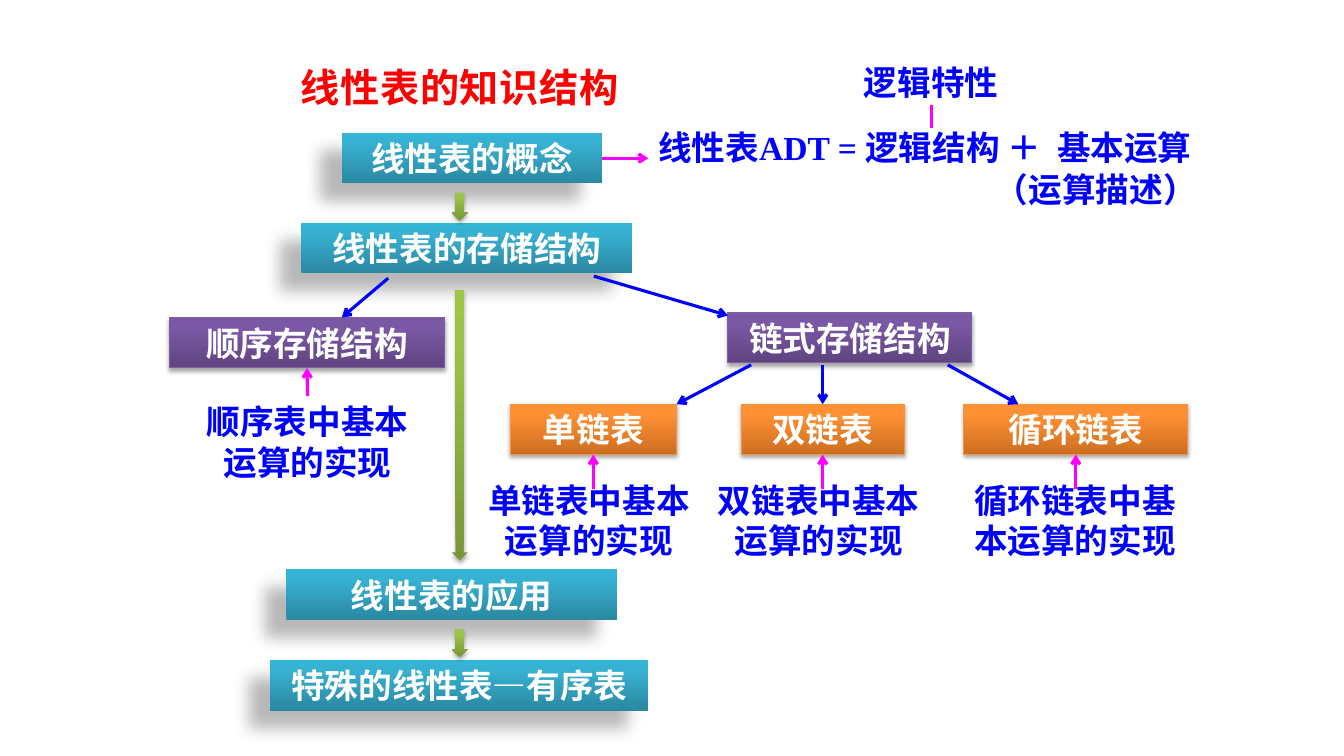
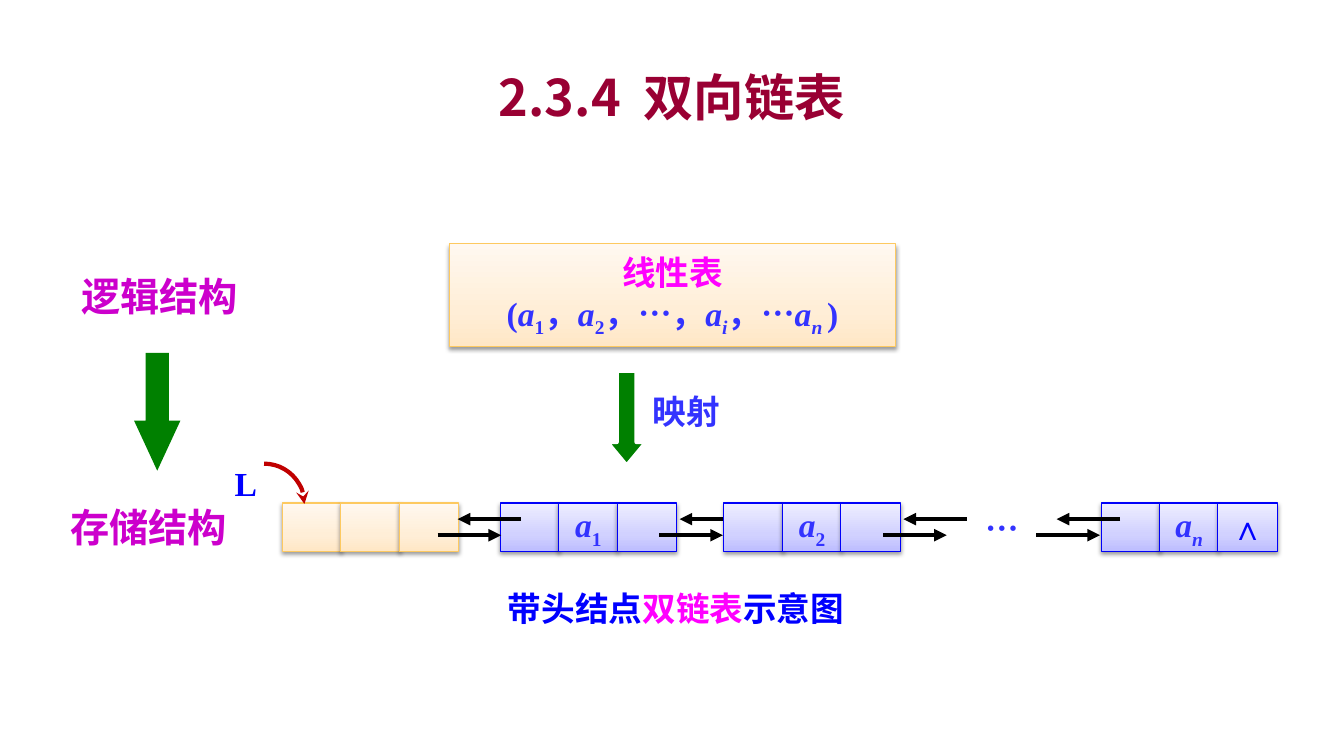
from copy import deepcopy

from lxml.etree import SubElement
from pptx import Presentation
from pptx.dml.color import RGBColor
from pptx.enum.shapes import MSO_CONNECTOR as Connector, MSO_SHAPE as Shape
from pptx.enum.text import MSO_ANCHOR as Anchor, MSO_AUTO_SIZE as AutoSize, PP_ALIGN as Align
from pptx.oxml.ns import qn
from pptx.util import Inches, Pt

SANS, SERIF = "Noto Sans CJK SC", "Times New Roman"
BLUE, VIOLET_BLUE, MAGENTA, PURPLE = "0000FF", "3333FF", "FF00FF", "CC00CC"
GREEN, BLACK, WHITE = "008000", "000000", "FFFFFF"
TITLE_ONLY = 5
TOP, BOTTOM, RIGHT = 0, 2, 3

# Shadows: opacity %, blur, distance (points), direction (degrees)
FAR, NEAR, SOFT = (28, 11.8, 19.7, 141), (35, 3.1, 1.8, 90), (38, 3.1, 1.6, 90)
# Looks: gradient stops from bottom to top, outline colour, shadow
TEAL_LOOK = ([(0, "2A88A2"), (0.8, "37B1D2"), (1, "34B4D6")], None, FAR)
LIME_LOOK = ([(0, "779737"), (0.8, "9BC348"), (1, "9DC746")], None, NEAR)
PURPLE_LOOK = ([(0, "5F4480"), (0.8, "7B58A6"), (1, "7C57A8")], "7D60A0", NEAR)
ORANGE_LOOK = ([(0, "CC6E20"), (0.8, "FF9034"), (1, "FF9136")], "F69240", NEAR)
CREAM_LOOK = ([(0, "FFE7C6"), (0.35, "FFEED7"), (1, "FFF8F0")], "FDC960", SOFT)
LILAC_LOOK = ([(0, "BDBDFF"), (0.35, "D1D1FF"), (1, "EEEEFF")], "0000F9", SOFT)


def rgb(value):
    return RGBColor.from_string(value)


def variable(subscript, italic=False):
    """Runs for the letter a with a subscript."""
    return [("a", {"italic": True}), (subscript, {"italic": italic, "lowered": True})]


class Deck:
    def __init__(self):
        self.presentation = Presentation()
        self.presentation.slide_width = Inches(13.33)
        self.presentation.slide_height = Inches(7.5)
        self.slide = None

    def new_slide(self):
        layout = self.presentation.slide_layouts[TITLE_ONLY]
        self.slide = self.presentation.slides.add_slide(layout)

    # Text
    def add_run(self, paragraph, text, font=SANS, size=24, color=BLUE,
                italic=False, lowered=False, spacing=0):
        run = paragraph.add_run()
        run.text = text
        run.font.name = font
        run.font.size = Pt(size)
        run.font.bold = True
        run.font.italic = italic
        run.font.color.rgb = rgb(color)
        properties = run.font._element
        SubElement(properties, qn("a:ea")).set("typeface", SANS)
        if lowered:
            properties.set("baseline", "-25000")
        if spacing:
            properties.set("spc", str(round(spacing * 100)))

    def fill_text(self, frame, paragraphs, align=Align.CENTER, anchor=Anchor.TOP,
                  wrap=True, **style):
        frame.auto_size = AutoSize.NONE
        frame.word_wrap = wrap
        frame.vertical_anchor = anchor
        if isinstance(paragraphs, str):
            paragraphs = [[(paragraphs, {})]]
        for index, runs in enumerate(paragraphs):
            paragraph = frame.add_paragraph() if index else frame.paragraphs[0]
            paragraph.alignment = align
            for text, changes in runs:
                self.add_run(paragraph, text, **{**style, **changes})

    def title(self, runs, left, top, width, height, **style):
        title = self.slide.shapes.title
        title.left, title.top = Inches(left), Inches(top)
        title.width, title.height = Inches(width), Inches(height)
        self.fill_text(title.text_frame, [runs], anchor=Anchor.MIDDLE, **style)

    def text(self, paragraphs, left, top, width, height=0.5, **style):
        box = self.slide.shapes.add_textbox(
            Inches(left), Inches(top), Inches(width), Inches(height))
        self.fill_text(box.text_frame, paragraphs, **style)
        return box

    # Shapes
    def shape(self, kind, left, top, width, height, adjustments=()):
        shape = self.slide.shapes.add_shape(
            kind, Inches(left), Inches(top), Inches(width), Inches(height))
        shape.shadow.inherit = False
        for index, value in enumerate(adjustments):
            shape.adjustments[index] = value
        return shape

    def outline(self, shape, color, width):
        if color is None:
            shape.line.fill.background()
        else:
            shape.line.color.rgb = rgb(color)
            shape.line.width = Pt(width)

    def apply_look(self, shape, look):
        stops, line_color, shadow = look
        shape.fill.gradient()
        shape.fill.gradient_angle = 90
        stop_list = shape._element.spPr.find(".//" + qn("a:gsLst"))
        stop_list.append(deepcopy(stop_list[-1]))
        for stop, (position, color) in zip(shape.fill.gradient_stops, stops):
            stop.position = position
            stop.color.rgb = rgb(color)
        self.outline(shape, line_color, 0.75)
        self.cast_shadow(shape, *shadow)

    def cast_shadow(self, shape, opacity, blur, distance, direction):
        effects = shape._element.spPr.find(qn("a:effectLst"))
        shadow = SubElement(effects, qn("a:outerShdw"), {
            "blurRad": str(Pt(blur)), "dist": str(Pt(distance)),
            "dir": str(direction * 60000), "algn": "ctr", "rotWithShape": "0"})
        color = SubElement(shadow, qn("a:srgbClr"), {"val": BLACK})
        SubElement(color, qn("a:alpha"), {"val": str(opacity * 1000)})

    def box(self, look, left, top, width, height=0.5, paragraphs=(), **style):
        box = self.shape(Shape.RECTANGLE, left, top, width, height)
        self.apply_look(box, look)
        self.fill_text(box.text_frame, paragraphs, anchor=Anchor.MIDDLE, **style)
        return box

    def lime_arrow(self, top, height):
        arrow = self.shape(Shape.DOWN_ARROW, 4.48, top, 0.16, height)
        self.apply_look(arrow, LIME_LOOK)

    def green_arrow(self, left, top, width, height, head, line_color=None):
        arrow = self.shape(Shape.DOWN_ARROW, left, top, width, height, (0.5, head))
        arrow.fill.solid()
        arrow.fill.fore_color.rgb = rgb(GREEN)
        self.outline(arrow, line_color, 3)

    # Lines
    def arrowhead(self, shape, kind):
        SubElement(shape._element.spPr.find(qn("a:ln")), qn("a:tailEnd"), {"type": kind})

    def line(self, begin, end, color, width=2.25, head="arrow", begin_at=None, end_at=None):
        """Draw a line; begin_at and end_at are (shape, side) pairs to join."""
        connector = self.slide.shapes.add_connector(
            Connector.STRAIGHT, *(Inches(value) for value in (*begin, *end)))
        self.outline(connector, color, width)
        if head:
            self.arrowhead(connector, head)
        SubElement(connector._element.spPr, qn("a:effectLst"))
        if begin_at:
            connector.begin_connect(*begin_at)
        if end_at:
            connector.end_connect(*end_at)

    def curved_arrow(self, left, top, size, color):
        arc = self.shape(Shape.ARC, left, top, size, size)
        arc.fill.background()
        self.outline(arc, color, 3)
        self.arrowhead(arc, "stealth")


def knowledge_slide(deck):
    deck.new_slide()
    deck.title([("线性表的知识结构", {})], 2.12, 0.58, 4.88, 0.57,
               font=SERIF, size=28, color="FF0000", spacing=0.5)

    # Main column
    stages = [("线性表的概念", 3.39, 1.32, 2.58), ("线性表的存储结构", 2.99, 2.21, 3.28),
              ("线性表的应用", 2.84, 5.65, 3.28), ("特殊的线性表—有序表", 2.68, 6.55, 3.75)]
    concept, *_ = [deck.box(TEAL_LOOK, left, top, width, paragraphs=name, color=WHITE)
                   for name, left, top, width in stages]
    for top, height in [(1.91, 0.28), (2.88, 2.68), (6.24, 0.28)]:
        deck.lime_arrow(top, height)

    # Definition beside the concept
    deck.text("逻辑特性", 8.47, 0.57, 1.72, align=Align.LEFT)
    definition = deck.text(
        [[("线性表ADT = 逻辑结构 ＋", {}), (" ", {"spacing": 6}), ("基本运算", {})],
         [("（运算描述）", {})]],
        6.43, 1.36, 5.89, 0.82, align=Align.LEFT, font=SERIF)
    first, second = definition.text_frame.paragraphs
    first.line_spacing = second.line_spacing = Pt(18)
    second.space_before = Pt(12)
    second._p.get_or_add_pPr().set("marL", str(Inches(3.34)))
    deck.line((9.24, 1.04), (9.24, 1.27), MAGENTA, head=None)
    deck.line((5.97, 1.57), (6.43, 1.57), MAGENTA, begin_at=(concept, RIGHT))

    # Sequential storage
    sequential = deck.box(PURPLE_LOOK, 1.68, 3.15, 2.73, paragraphs="顺序存储结构", color=WHITE)
    note = deck.text("顺序表中基本运算的实现", 1.9, 3.93, 2.3, 0.91)
    deck.line((3.05, 3.93), (3.05, 3.65), MAGENTA,
              begin_at=(note, TOP), end_at=(sequential, BOTTOM))
    deck.line((3.85, 2.76), (3.39, 3.15), BLUE)

    # Linked storage and its three kinds
    deck.box(PURPLE_LOOK, 7.22, 3.1, 2.42, paragraphs="链式存储结构", color=WHITE)
    deck.line((5.89, 2.74), (7.22, 3.13), BLUE)
    kinds = [("单链表", 5.06, 1.65, 4.7, 7.45, 6.71), ("双链表", 7.35, 1.62, 6.98, 8.16, 8.16),
             ("循环链表", 9.56, 2.22, 9.52, 9.4, 10.1)]
    for name, left, width, note_left, start, end in kinds:
        kind = deck.box(ORANGE_LOOK, left, 4.01, width, paragraphs=name, color=WHITE)
        deck.text(name + "中基本运算的实现", note_left, 4.71, 2.28, 0.91)
        middle = left + width / 2
        deck.line((middle, 4.85), (middle, 4.51), MAGENTA, end_at=(kind, BOTTOM))
        straight_down = start == end
        deck.line((start, 3.62), (end, 4.01), BLUE,
                  end_at=(kind, TOP) if straight_down else None)


def doubly_linked_slide(deck):
    deck.new_slide()
    deck.title([("2.3.4", {}), (" ", {"spacing": 8}), ("双向链表", {})],
               1, 0.58, 11.33, 0.75, size=36, color="990033")

    # Logical structure mapped to storage structure
    sequence = [("(", {}), *variable("1"), ("，", {}), *variable("2"), ("，…，", {}),
                *variable("i", True), ("，…", {}), *variable("n ", True), (")", {})]
    deck.box(CREAM_LOOK, 4.46, 2.42, 4.42, 1.02,
             [[("线性表", {"color": MAGENTA})], sequence],
             wrap=False, font=SERIF, color=VIOLET_BLUE)
    deck.green_arrow(6.02, 3.68, 0.39, 0.94, 0.6, WHITE)
    deck.text("映射", 6.26, 3.83, 1.09, color=VIOLET_BLUE)
    deck.text("逻辑结构", 0.64, 2.65, 1.89, 0.57, size=28, color=PURPLE)
    deck.text("存储结构", 0.53, 4.94, 1.89, 0.57, size=28, color=PURPLE)
    deck.green_arrow(1.33, 3.5, 0.46, 1.17, 1.08)

    # Nodes: look, left, texts of the three cells, lefts of the links drawn on top
    end_mark = [("∧", {"color": BLUE})]
    nodes = [(CREAM_LOOK, 2.8, ([], [], []), ()),
             (LILAC_LOOK, 4.96, ([], variable("1"), []), (4.34, 6.54)),
             (LILAC_LOOK, 7.18, ([], variable("2"), []), (8.76,)),
             (LILAC_LOOK, 10.92, ([], variable("n", True), end_mark), (10.28,))]
    for look, left, cells, links in nodes:
        for index, runs in enumerate(cells):
            deck.box(look, left + 0.58 * index, 4.99, 0.59, 0.48, [runs] if runs else (),
                     wrap=False, font=SERIF, color=VIOLET_BLUE)
        for link in links:
            deck.line((link, 5.31), (link + 0.63, 5.31), BLACK, 3, "triangle")
            deck.line((link + 0.83, 5.15), (link + 0.2, 5.15), BLACK, 3, "triangle")
    deck.text("…", 9.63, 4.99, 0.63, color=VIOLET_BLUE)

    # Head pointer and caption
    deck.curved_arrow(2.22, 4.6, 0.8, "C00000")
    deck.text("L", 2.23, 4.54, 0.47, align=Align.LEFT, font=SERIF)
    deck.text([[("带头结点", {}), ("双链表", {"color": MAGENTA}), ("示意图", {})]],
              4.87, 5.78, 3.67)


def main():
    deck = Deck()
    knowledge_slide(deck)
    doubly_linked_slide(deck)
    deck.presentation.save("out.pptx")


if __name__ == "__main__":
    main()
